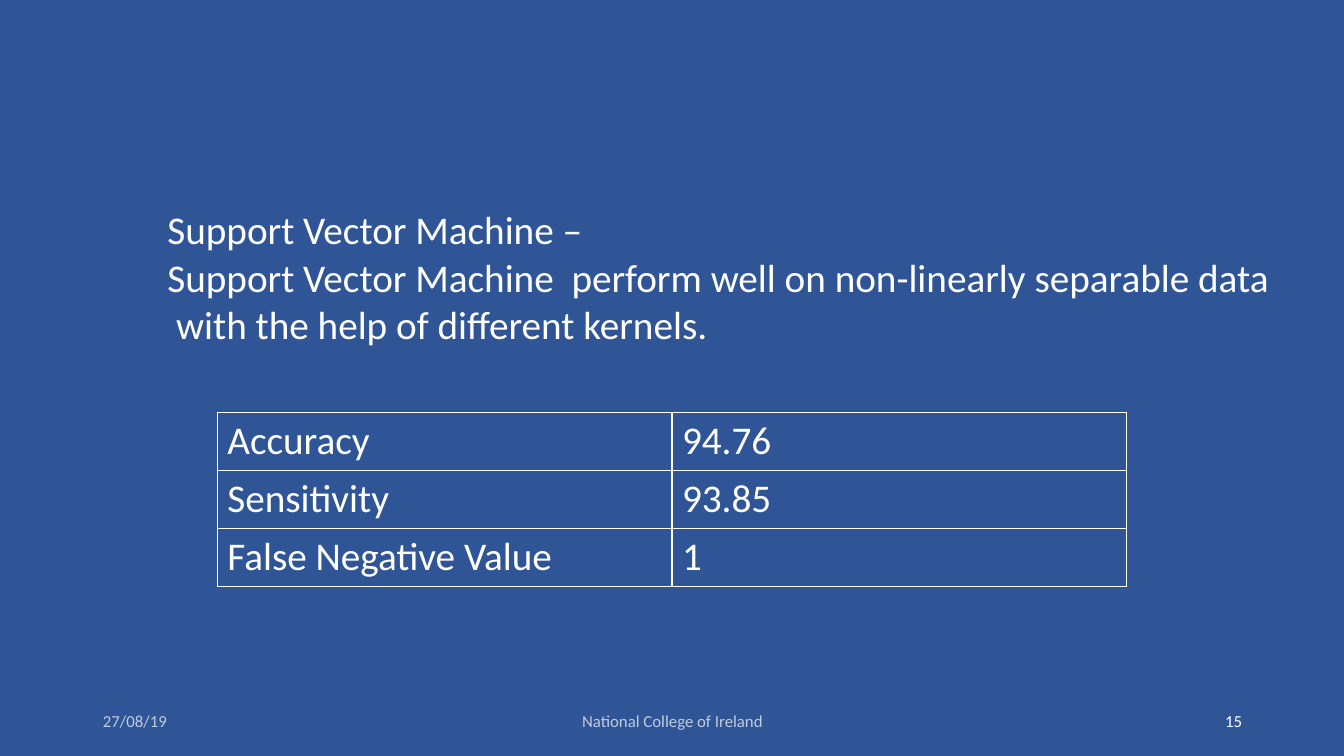
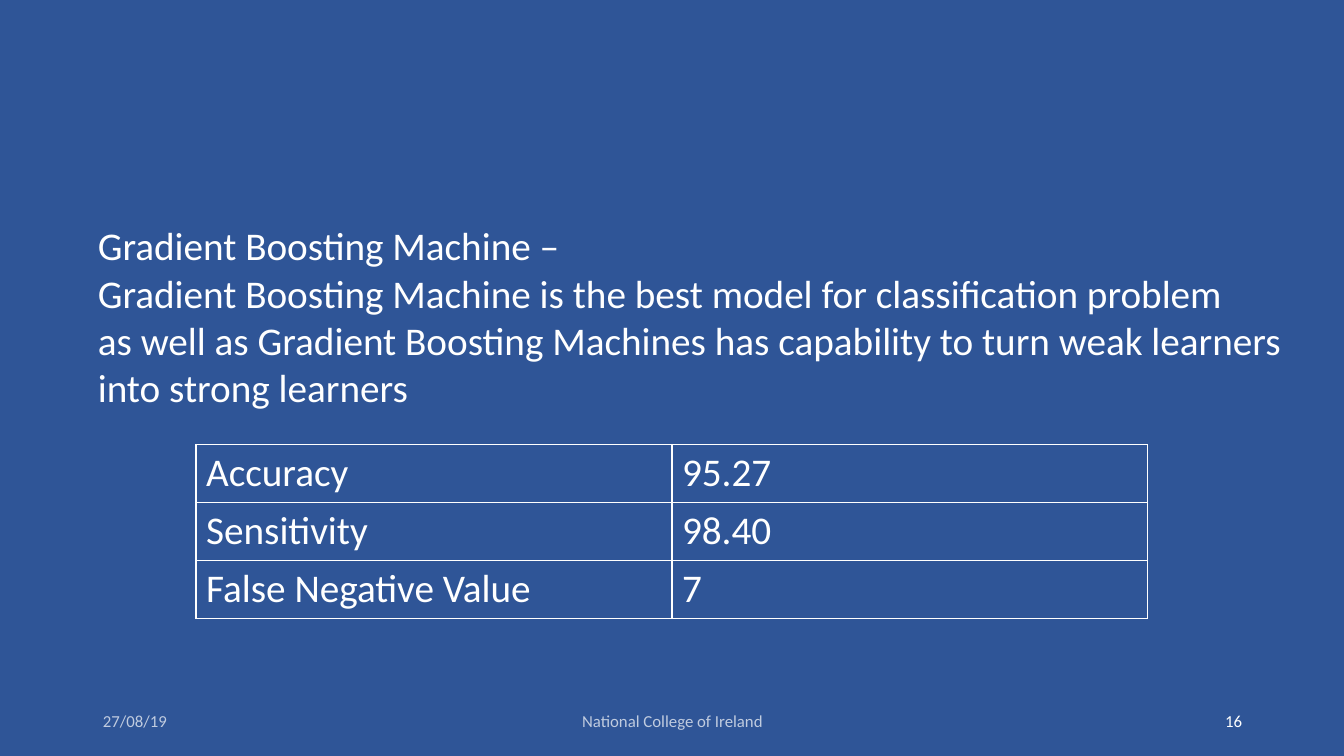
from copy import deepcopy

from lxml import etree
from pptx import Presentation
from pptx.dml.color import RGBColor
from pptx.enum.text import MSO_ANCHOR, MSO_AUTO_SIZE, PP_ALIGN
from pptx.oxml.ns import qn
from pptx.util import Inches, Pt

LEFT, CENTER, RIGHT = PP_ALIGN.LEFT, PP_ALIGN.CENTER, PP_ALIGN.RIGHT
JUSTIFY = PP_ALIGN.JUSTIFY
TOP, MIDDLE = MSO_ANCHOR.TOP, MSO_ANCHOR.MIDDLE
NO_AUTOFIT = MSO_AUTO_SIZE.NONE

BLUE = RGBColor(0x2F, 0x55, 0x97)
WHITE = RGBColor(0xFF, 0xFF, 0xFF)
FONT = "Calibri"
TEXT_SIZE, FOOTER_SIZE = 28, 12

SLIDE_WIDTH, SLIDE_HEIGHT = 13.33, 7.5
LINE_HEIGHT = 0.47
ROW_HEIGHT = 0.57
FOOTER_TOP, FOOTER_HEIGHT = 6.95, 0.4
FIRST_NUMBER = 15
DATE = "27/08/19"
COLLEGE = "National College of Ireland"
MEASURES = ("Accuracy", "Sensitivity", "False Negative Value")

# layout index of each footer part: left, width, alignment, opacity in percent
FOOTER_PARTS = {
    10: (0.92, 3, LEFT, 70),
    11: (4.42, 4.5, CENTER, 70),
    12: (9.42, 3, RIGHT, 100),
}

MODELS = [
    {
        "heading": "Support Vector Machine –",
        "lines": [
            "Support Vector Machine  perform well on non-linearly separable data",
            " with the help of different kernels.",
        ],
        "text_at": (1.56, 2.04, 11.33),
        "align": LEFT,
        "scores": ("94.76", "93.85", "1"),
        "table_top": 4.09,
        "table_width": 9.02,
    },
    {
        "heading": "Gradient Boosting Machine –",
        "lines": [
            "Gradient Boosting Machine is the best model for classification problem",
            "as well as Gradient Boosting Machines has capability to turn weak learners",
            "into strong learners",
        ],
        "text_at": (0.87, 2.2, 12.16),
        "align": JUSTIFY,
        "scores": ("95.27", "98.40", "7"),
        "table_top": 4.41,
        "table_width": 9.44,
    },
]


def place(shape, left, top, width, height):
    shape.left, shape.top = Inches(left), Inches(top)
    shape.width, shape.height = Inches(width), Inches(height)


def write(paragraph, text, size=TEXT_SIZE, align=LEFT, opacity=100):
    paragraph.alignment = align
    run = paragraph.add_run()
    run.text = text
    run.font.name = FONT
    run.font.size = Pt(size)
    run.font.color.rgb = WHITE
    if opacity < 100:
        color = run._r.get_or_add_rPr().find(".//" + qn("a:srgbClr"))
        etree.SubElement(color, qn("a:alpha"), val=str(opacity * 1000))


def remove_bullet(paragraph):
    properties = paragraph._p.get_or_add_pPr()
    properties.set("marL", "0")
    properties.set("indent", "0")
    etree.SubElement(properties, qn("a:buNone"))


def fill_placeholder(placeholder, lines, left, top, width, align):
    """Set the lines at a fixed pitch, without bullets or vertical insets."""
    place(placeholder, left, top, width, LINE_HEIGHT * len(lines))
    frame = placeholder.text_frame
    frame.margin_top = frame.margin_bottom = 0
    frame.vertical_anchor = TOP
    frame.word_wrap = True
    frame.auto_size = NO_AUTOFIT
    for index, line in enumerate(lines):
        paragraph = frame.add_paragraph() if index else frame.paragraphs[0]
        paragraph.space_before = Pt(0)
        remove_bullet(paragraph)
        write(paragraph, line, align=align)


def add_border(cell):
    properties = cell._tc.get_or_add_tcPr()
    for side in ("a:lnL", "a:lnR", "a:lnT", "a:lnB"):
        line = etree.SubElement(properties, qn(side), w=str(Pt(1)))
        fill = etree.SubElement(line, qn("a:solidFill"))
        etree.SubElement(fill, qn("a:srgbClr"), val=str(WHITE))


def add_score_table(slide, scores, top, width):
    """Add a centred table with one measure and its score per row."""
    left = (SLIDE_WIDTH - width) / 2
    table = slide.shapes.add_table(
        len(MEASURES), 2, Inches(left), Inches(top),
        Inches(width), Inches(ROW_HEIGHT * len(MEASURES)),
    ).table
    table.first_row = table.horz_banding = False
    for row, texts in zip(table.rows, zip(MEASURES, scores)):
        for cell, text in zip(row.cells, texts):
            add_border(cell)
            cell.fill.background()
            write(cell.text_frame.paragraphs[0], text)


def set_up_master(prs, layout):
    """Set the shared background and the places of the footer parts."""
    background = prs.slide_master.background.fill
    background.solid()
    background.fore_color.rgb = BLUE
    for part in layout.placeholders:
        index = part.placeholder_format.idx
        if index in FOOTER_PARTS:
            left, width, _, _ = FOOTER_PARTS[index]
            place(part, left, FOOTER_TOP, width, FOOTER_HEIGHT)
            part.text_frame.vertical_anchor = MIDDLE


def add_footer(slide, number):
    """Bring the layout's footer parts onto the slide and fill them."""
    for part in slide.slide_layout.placeholders:
        if part.placeholder_format.idx in FOOTER_PARTS:
            slide.shapes._spTree.append(deepcopy(part.element))
    texts = (DATE, COLLEGE, str(number))
    for (index, (_, _, align, opacity)), text in zip(FOOTER_PARTS.items(), texts):
        frame = slide.placeholders[index].text_frame
        frame.clear()
        write(frame.paragraphs[0], text, FOOTER_SIZE, align, opacity)


def add_model_slide(prs, layout, model, number):
    slide = prs.slides.add_slide(layout)
    left, top, width = model["text_at"]
    align = model["align"]
    fill_placeholder(slide.shapes.title, [model["heading"]],
                     left, top, width, align)
    fill_placeholder(slide.placeholders[1], model["lines"],
                     left, top + LINE_HEIGHT, width, align)
    add_score_table(slide, model["scores"], model["table_top"], model["table_width"])
    add_footer(slide, number)


def main():
    prs = Presentation()
    prs.slide_width, prs.slide_height = Inches(SLIDE_WIDTH), Inches(SLIDE_HEIGHT)
    layout = prs.slide_layouts.get_by_name("Title and Content")
    set_up_master(prs, layout)
    for number, model in enumerate(MODELS, FIRST_NUMBER):
        add_model_slide(prs, layout, model, number)
    prs.save("out.pptx")


if __name__ == "__main__":
    main()
